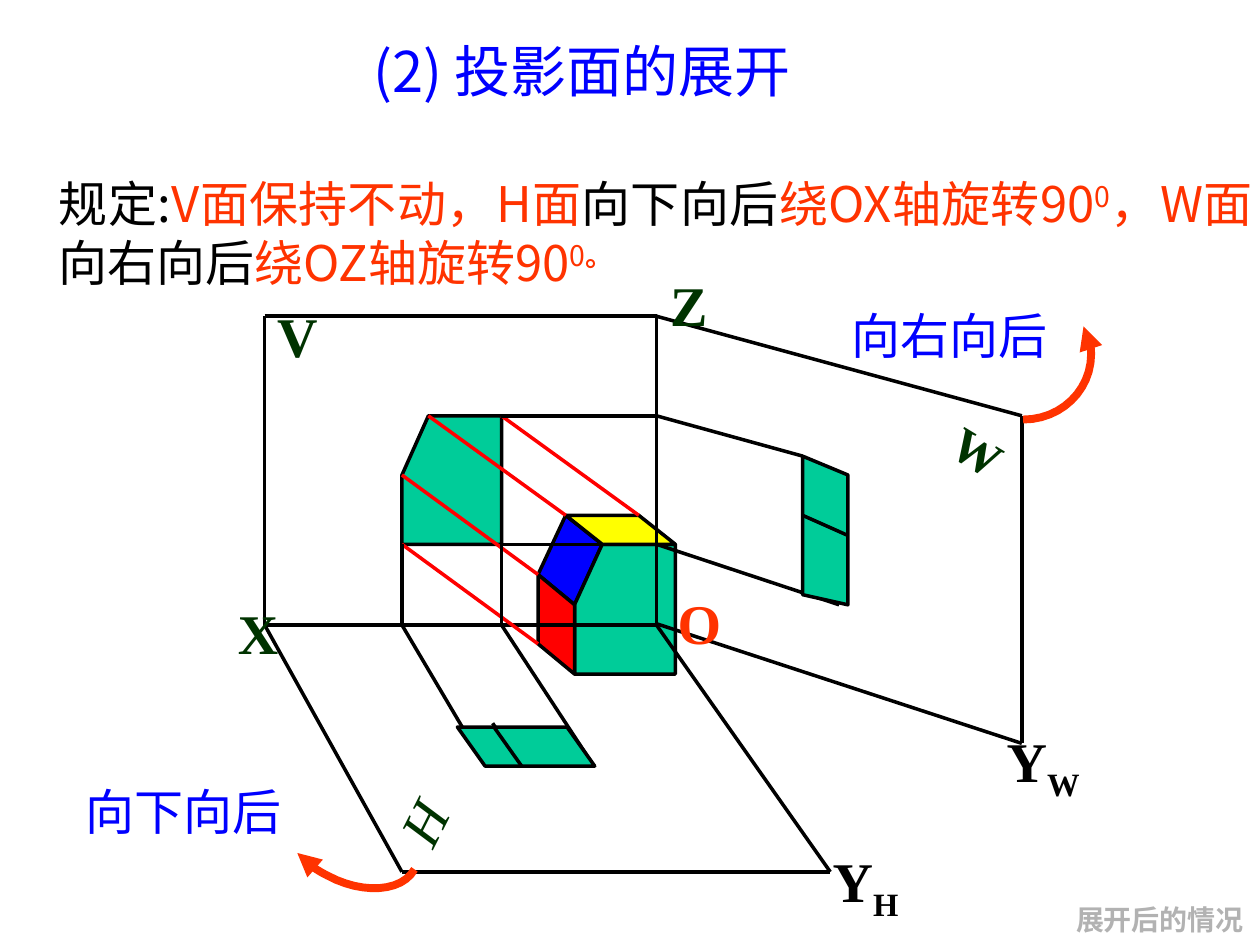
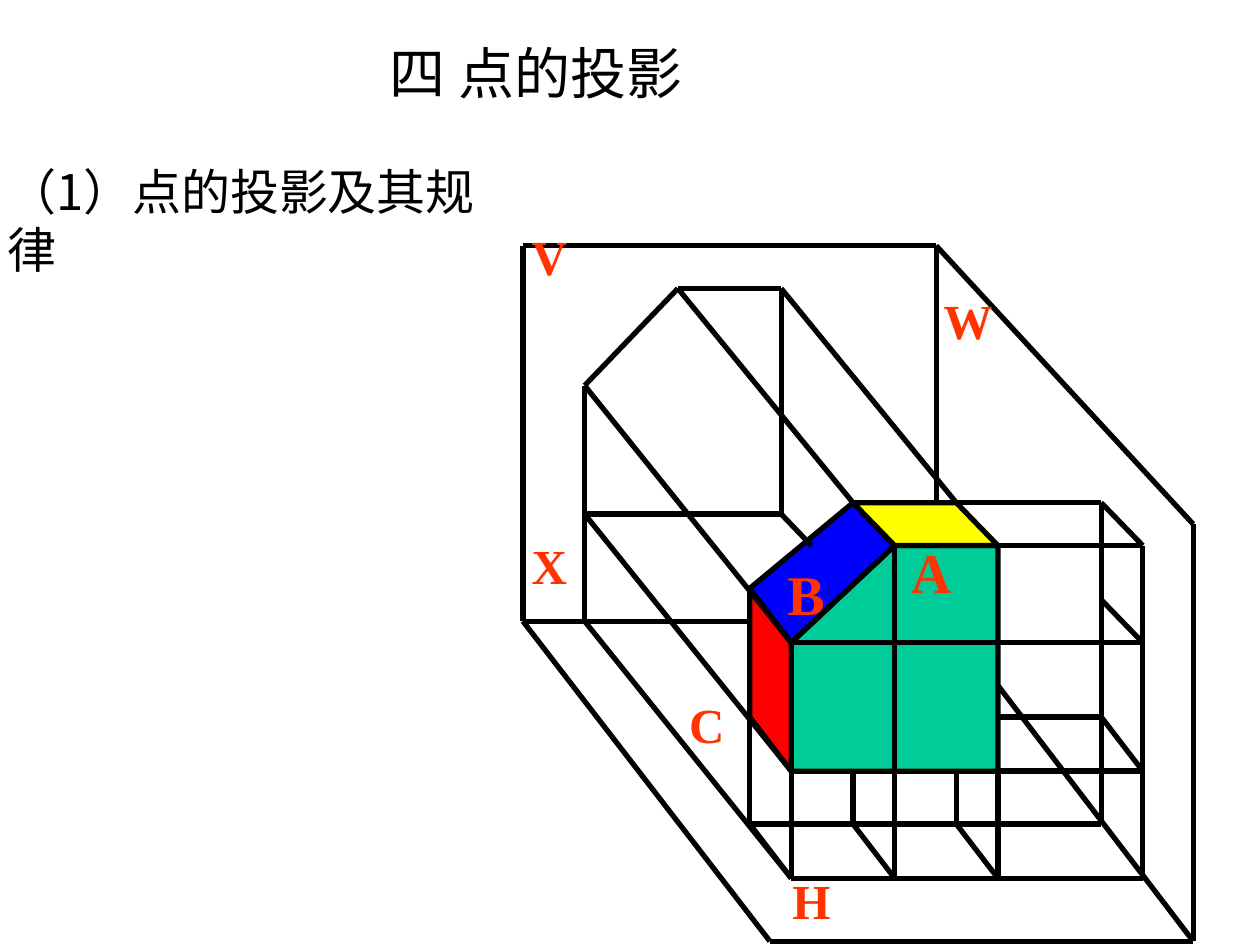
from dataclasses import dataclass
from itertools import pairwise
from typing import NamedTuple

from lxml.etree import SubElement
from pptx import Presentation
from pptx.dml.color import RGBColor
from pptx.enum.shapes import MSO_CONNECTOR
from pptx.enum.text import MSO_ANCHOR as Anchor, PP_ALIGN as Align
from pptx.oxml.ns import qn
from pptx.util import Cm, Pt

Point = tuple[float, float]
CM_PER_INCH = 2.54


@dataclass(frozen=True)
class Theme:
    black: str = "000000"
    blue: str = "0000FF"
    green: str = "00CC99"
    yellow: str = "FFFF00"
    red: str = "FF0000"
    orange: str = "FF3300"
    dark_green: str = "003300"
    grey: str = "B2B2B2"
    sans: str = "Noto Sans CJK SC"
    serif: str = "Times New Roman"
    large: int = 32
    medium: int = 28
    small: int = 16
    thin: float = 2
    thick: float = 3
    arrow: float = 4.5


THEME = Theme()


class Box(NamedTuple):
    left: float
    top: float
    width: float
    height: float


class Run(NamedTuple):
    text: str
    color: str | None = None
    baseline: int = 0
    bold: bool = False


class Label(NamedTuple):
    text: str | list[Run]
    box: Box
    size: int = THEME.large
    color: str = THEME.dark_green
    rotation: float = 0
    bold: bool = True
    italic: bool = False


class Face(NamedTuple):
    points: list[Point]
    fill: str | None = None
    closed: bool = True


class Wire(NamedTuple):
    points: list[Point]
    color: str = THEME.black


def length(inches: float) -> Cm:
    """Turn a drawing coordinate into a slide length."""
    return Cm(inches * CM_PER_INCH)


def write(s, text: str | list[Run], box: Box, *, size: int = THEME.large,
          color: str = THEME.black, font: str = THEME.serif, bold: bool = False,
          italic: bool = False, align=Align.LEFT, anchor=Anchor.TOP,
          wrap: bool = True, rotation: float = 0) -> None:
    """Place a text box holding one formatted paragraph."""
    sp = s.shapes.add_textbox(*map(length, box))
    sp.rotation = rotation
    tf = sp.text_frame
    tf.word_wrap = wrap
    tf.vertical_anchor = anchor
    p = tf.paragraphs[0]
    p.alignment = align
    for run in [Run(text)] if isinstance(text, str) else text:
        r = p.add_run()
        r.text = run.text
        r.font.size = Pt(size)
        r.font.name = font
        r.font.bold = bold or run.bold
        r.font.italic = italic
        r.font.color.rgb = RGBColor.from_string(run.color or color)
        rPr = r._r.get_or_add_rPr()
        SubElement(rPr, qn("a:ea")).set("typeface", THEME.sans)
        if run.baseline:
            rPr.set("baseline", str(run.baseline * 1000))


def write_title(s, text: str, box: Box, color: str) -> None:
    """Write the slide title."""
    write(s, text, box, color=color, font=THEME.sans, align=Align.CENTER,
          anchor=Anchor.MIDDLE)


def write_labels(s, labels: list[Label]) -> None:
    """Write the letters that name planes, axes and points."""
    for label in labels:
        write(s, label.text, label.box, size=label.size, color=label.color,
              bold=label.bold, italic=label.italic, rotation=label.rotation)


def draw_face(s, face: Face, weight: float, color: str = THEME.black):
    """Draw an outline, filled when it has a fill colour."""
    start, *rest = [(length(x), length(y)) for x, y in face.points]
    builder = s.shapes.build_freeform(*start, scale=1.0)
    builder.add_line_segments(rest, close=face.closed)
    sp = builder.convert_to_shape()
    sp.shadow.inherit = False
    if face.fill:
        sp.fill.solid()
        sp.fill.fore_color.rgb = RGBColor.from_string(face.fill)
    else:
        sp.fill.background()
    sp.line.color.rgb = RGBColor.from_string(color)
    sp.line.width = Pt(weight)
    return sp


def draw_wires(s, wires: list[Wire], weight: float) -> None:
    """Draw each wire as straight connectors from point to point."""
    for wire in wires:
        for start, end in pairwise(wire.points):
            line = s.shapes.add_connector(
                MSO_CONNECTOR.STRAIGHT, *map(length, start + end))
            line.line.color.rgb = RGBColor.from_string(wire.color)
            line.line.width = Pt(weight)
            SubElement(line._element.spPr, qn("a:effectLst"))


def bezier(a: Point, b: Point, c: Point, d: Point, steps: int = 12) -> list[Point]:
    """Sample a cubic curve."""
    return [tuple((1 - t) ** 3 * i + 3 * t * (1 - t) ** 2 * j
                  + 3 * t * t * (1 - t) * k + t ** 3 * m
                  for i, j, k, m in zip(a, b, c, d))
            for t in (n / steps for n in range(steps + 1))]


def draw_turn(s, first: list[Point], second: list[Point]) -> None:
    """Draw a curved arrow showing which way a plane turns."""
    points = bezier(*first) + bezier(first[-1], *second)[1:]
    sp = draw_face(s, Face(points, closed=False), THEME.arrow, THEME.orange)
    SubElement(sp.line._get_or_add_ln(), qn("a:tailEnd")).set("type", "triangle")


def build_unfolding(s) -> None:
    """Build the slide on unfolding the projection planes."""
    t = THEME
    write(s, "展开后的情况", Box(8.43, 7.11, 1.55, 0.37), size=t.small, color=t.grey,
          bold=True, align=Align.CENTER, anchor=Anchor.MIDDLE, wrap=False)
    write_title(s, "(2) 投影面的展开", Box(0.13, 0.05, 8.98, 1.02), t.blue)

    solid_and_planes = [
        Face([(4.78, 4.32), (4.49, 4.09), (4.27, 4.56), (4.56, 4.8)], t.blue),
        Face([(4.78, 4.32), (5.36, 4.32), (5.36, 5.35), (4.56, 5.35), (4.56, 4.8)],
             t.green),
        Face([(5.36, 4.32), (5.07, 4.09), (4.49, 4.09), (4.78, 4.32)], t.yellow),
        Face([(4.56, 4.8), (4.27, 4.56), (4.27, 5.11), (4.56, 5.35)], t.red),
        Face([(3.4, 3.3), (3.98, 3.3), (3.98, 4.32), (3.19, 4.32), (3.19, 3.77)],
             t.green),
        Face([(2.1, 2.51), (2.1, 4.96), (3.84, 4.96)], closed=False),
        Face([(2.1, 2.51), (5.21, 2.51), (5.21, 4.96), (4.92, 4.96)], closed=False),
    ]
    for face in solid_and_planes:
        draw_face(s, face, t.thin)

    v_view = [(3.19, 3.77), (3.4, 3.3), (3.98, 3.3), (3.19, 4.32)]
    solid = [(4.27, 4.56), (4.49, 4.09), (5.07, 4.09), (4.27, 5.11)]
    draw_wires(s, [
        Wire([(3.76, 4.96), (5.07, 4.96)]),
        *(Wire([near, far], t.red) for near, far in zip(solid, v_view)),
        Wire([(2.1, 4.96), (3.19, 6.92), (6.01, 6.92), (6.59, 6.92), (5.21, 4.96)]),
        Wire([(3.19, 4.32), (3.19, 4.96), (3.84, 6.06), (4.7, 6.06)]),
        Wire([(3.98, 4.32), (3.98, 4.96), (4.7, 6.06)]),
        Wire([(3.91, 5.74), (4.13, 6.06)]),
        Wire([(3.98, 3.3), (5.21, 3.3), (6.37, 3.62)]),
        Wire([(3.98, 4.32), (5.21, 4.32), (6.66, 4.8)]),
        Wire([(5.21, 2.51), (8.11, 3.3), (8.11, 5.74), (8.11, 5.9), (5.21, 4.95)]),
    ], t.thin)

    h_view = Face([(3.63, 5.77), (4.5, 5.77), (4.72, 6.08), (3.85, 6.08)], t.green)
    w_view = Face([(6.73, 3.77), (6.73, 4.8), (6.37, 4.72), (6.37, 3.62)], t.green)
    for view in (h_view, w_view):
        draw_face(s, view, t.thin)
    draw_wires(s, [Wire([(3.92, 5.77), (4.14, 6.08)]),
                   Wire([(6.73, 4.25), (6.37, 4.09)])], t.thin)

    write_labels(s, [
        Label("X", Box(1.79, 4.7, 0.52, 0.63)),
        Label("Z", Box(5.22, 2.1, 0.58, 0.63)),
        Label("V", Box(2.1, 2.34, 0.52, 0.63)),
        Label("W", Box(7.47, 3.29, 0.59, 0.57), t.medium, rotation=31.2),
        Label("H", Box(3.11, 6.23, 0.47, 0.63), rotation=296.8, bold=False,
              italic=True),
        Label("O", Box(5.28, 4.62, 0.55, 0.63), color=t.orange),
        Label([Run("Y"), Run("W", baseline=-25)], Box(7.89, 5.72, 0.81, 0.63),
              color=t.black),
        Label([Run("Y"), Run("H", baseline=-25)], Box(6.51, 6.67, 0.75, 0.63),
              color=t.black),
    ])
    write(s, [Run("规定:"), Run("V面保持不动，H面", t.orange), Run("向下向后"),
              Run("绕OX轴旋转90", t.orange), Run("0", t.orange, 30),
              Run("，W面", t.orange), Run("向右向后"),
              Run("绕OZ轴旋转90", t.orange), Run("0", t.orange, 30),
              Run("。", t.orange, 30, True)],
          Box(0.37, 1.33, 9.67, 1.03), size=t.medium, font=t.sans,
          align=Align.JUSTIFY, anchor=Anchor.MIDDLE)

    draw_turn(s, [(3.29, 6.9), (3.19, 7.08), (2.88, 7.1), (2.6, 6.95)],
              [(2.5, 6.9), (2.42, 6.84), (2.36, 6.77)])
    draw_turn(s, [(8.12, 3.33), (8.42, 3.33), (8.66, 3.1), (8.66, 2.81)],
              [(8.66, 2.73), (8.64, 2.66), (8.6, 2.59)])
    for text, left, top in [("向下向后", 0.46, 6.15), ("向右向后", 6.54, 2.37)]:
        write(s, text, Box(left, top, 1.99, 0.57), size=t.medium, color=t.blue,
              align=Align.CENTER, anchor=Anchor.MIDDLE)


def build_point_projection(s) -> None:
    """Build the slide on projecting points."""
    t = THEME
    write_title(s, "四 点的投影", Box(-0.16, -0.08, 8.83, 1.31), t.black)
    write(s, "（1）点的投影及其规律", Box(-0.04, 1.23, 4.28, 0.57), size=t.medium,
          font=t.sans)

    draw_wires(s, [Wire([(4.64, 4.93), (4.64, 4.08), (6.2, 4.08)])], t.thick)
    for face in [
        Face([(6.28, 6.12), (7.92, 6.12), (7.92, 4.33), (7.1, 4.33), (6.28, 5.1)],
             t.green),
        Face([(6.28, 6.12), (5.95, 5.69), (5.95, 4.67), (6.28, 5.1)], t.red),
        Face([(5.95, 4.67), (6.77, 3.99), (7.1, 4.33), (6.28, 5.1)], t.blue),
        Face([(7.1, 4.33), (7.92, 4.33), (7.59, 3.99), (6.77, 3.99)], t.yellow),
    ]:
        draw_face(s, face, t.thick)

    planes = [
        [(7.43, 3.99), (7.43, 1.95), (4.15, 1.95), (4.15, 4.93), (5.95, 4.93)],
        [(7.43, 1.95), (9.47, 4.16), (9.47, 7.47), (7.92, 5.44)],
        [(4.15, 4.93), (6.11, 7.47), (9.47, 7.47)],
    ]
    v_view = [
        [(4.64, 4.08), (4.64, 3.06), (5.38, 2.29), (6.2, 2.29), (6.2, 4.08),
         (6.44, 4.33)],
    ]
    w_view = [
        [(9.07, 6.97), (9.07, 6.12), (9.07, 4.33), (8.74, 3.99), (8.74, 5.69),
         (8.74, 6.54)],
        [(9.07, 6.12), (8.74, 5.69), (7.92, 5.69)],
        [(9.07, 5.1), (8.74, 4.76)],
    ]
    h_view = [
        [(4.64, 4.93), (6.28, 6.97), (7.92, 6.97), (9.07, 6.97)],
        [(5.95, 6.54), (7.59, 6.54), (8.74, 6.54)],
        [(5.95, 6.54), (6.28, 6.97)],
    ]
    projectors = [
        [(6.28, 6.12), (6.28, 6.97)],
        [(5.95, 5.69), (5.95, 6.54)],
        [(7.1, 4.33), (7.1, 6.97), (6.77, 6.54), (6.77, 6.12)],
        [(7.92, 6.12), (7.92, 6.97), (7.59, 6.54), (7.59, 6.12)],
        [(7.59, 3.99), (8.74, 3.99)],
        [(7.92, 4.33), (9.07, 4.33)],
        [(7.92, 6.12), (9.07, 6.12)],
        [(4.64, 3.06), (6.28, 5.1), (9.07, 5.1)],
        [(6.28, 6.12), (4.64, 4.08)],
        [(6.77, 3.99), (5.38, 2.29)],
        [(7.59, 3.99), (6.2, 2.29)],
    ]
    wires = planes + v_view + w_view + h_view + projectors
    draw_wires(s, [Wire(points) for points in wires], t.thick)

    write_labels(s, [
        Label("V", Box(4.12, 1.75, 0.48, 0.57), t.medium, t.orange),
        Label("H", Box(6.19, 6.86, 0.5, 0.57), t.medium, t.orange),
        Label("W", Box(7.39, 2.26, 0.59, 0.57), t.medium, t.orange),
        Label("X", Box(4.12, 4.2, 0.48, 0.57), t.medium, t.orange),
        Label("A", Box(7.13, 4.22, 0.52, 0.63), color=t.orange),
        Label("B", Box(6.15, 4.39, 0.5, 0.63), color=t.orange),
        Label("C", Box(5.37, 5.46, 0.48, 0.57), t.medium, t.orange),
    ])


def main() -> None:
    """Build both slides and save them."""
    prs = Presentation()
    prs.slide_width, prs.slide_height = Cm(25.4), Cm(19.05)
    for build in (build_unfolding, build_point_projection):
        build(prs.slides.add_slide(prs.slide_layouts[6]))
    prs.save("out.pptx")


if __name__ == "__main__":
    main()
